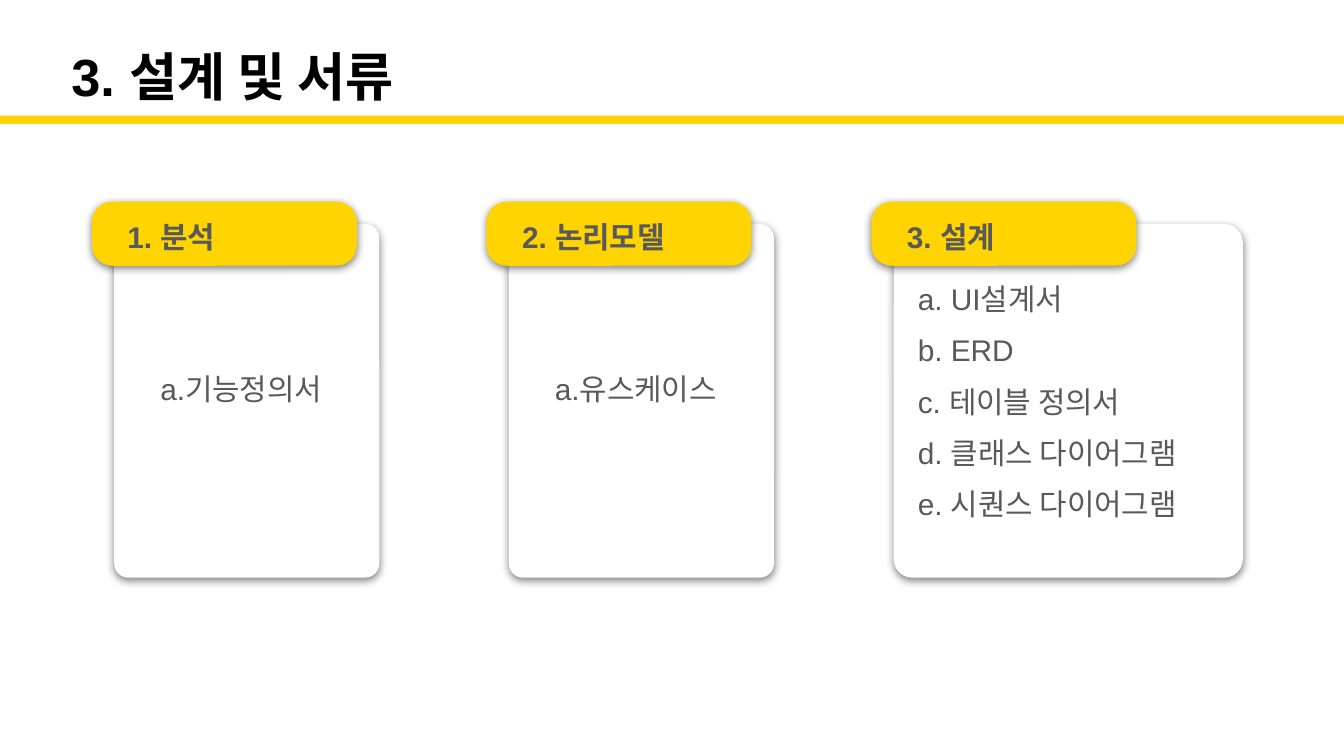
from lxml import etree
from pptx import Presentation
from pptx.dml.color import RGBColor
from pptx.enum.shapes import MSO_SHAPE as SHAPE
from pptx.enum.text import MSO_ANCHOR as ANCHOR, MSO_AUTO_SIZE as AUTO, PP_ALIGN as ALIGN
from pptx.oxml import parse_xml
from pptx.util import Pt

YELLOW, WHITE, GRAY, BLACK = "FFD400", "FFFFFF", "595959", "000000"
SHADOW = (
    '<a:effectLst xmlns:a="http://schemas.openxmlformats.org/drawingml/2006/main">'
    '<a:outerShdw blurRad="57150" dist="19050" dir="5400000" algn="bl" rotWithShape="0">'
    '<a:srgbClr val="000000"><a:alpha val="50000"/></a:srgbClr>'
    '</a:outerShdw></a:effectLst>'
)


def add_block(kind, box, color, radius=None):
    """Add a filled shape; a corner radius makes it a raised card."""
    sp = s.shapes.add_shape(kind, *map(Pt, box))
    sp.fill.solid()
    sp.fill.fore_color.rgb = RGBColor.from_string(color)
    sp.line.fill.background()
    sp.shadow.inherit = False
    if radius is not None:
        sp.adjustments[0] = radius
        pr = sp.element.spPr
        pr.replace(pr.effectLst if hasattr(pr, "effectLst") else pr[-1], parse_xml(SHADOW))


def write(sp, lines, size, color, bold, anchor, spacing=None):
    tf = sp.text_frame
    tf.word_wrap = True
    tf.auto_size = AUTO.NONE
    tf.vertical_anchor = anchor
    tf.margin_left = tf.margin_right = tf.margin_top = tf.margin_bottom = Pt(7.2)
    tf.text = "\n".join(lines)
    for i, p in enumerate(tf.paragraphs):
        p.alignment = ALIGN.LEFT
        p.line_spacing = spacing
        if i:
            p.space_before = Pt(16)
        p.font.name = "Arial"
        p.font.size = Pt(size)
        p.font.bold = bold
        p.font.color.rgb = RGBColor.from_string(color)


prs = Presentation()
prs.slide_width, prs.slide_height = Pt(720), Pt(405)
s = prs.slides.add_slide(prs.slide_layouts[5])

title = s.shapes.title
title.left, title.top, title.width, title.height = Pt(31), Pt(18), Pt(671), Pt(45.4)
write(title, ["3. 설계 및 서류"], 28, BLACK, True, ANCHOR.MIDDLE)
add_block(SHAPE.RECTANGLE, (-10, 62, 741.6, 4.4), YELLOW)

# card left, card width, heading, items, items box (offset from card, top, width, height)
single = (17.6, 198, 111, 34)
columns = [
    (61.2, 142, "1. 분석", ["a.기능정의서"], single),
    (272.6, 142, "2. 논리모델", ["a.유스케이스"], single),
    (478.8, 187, "3. 설계",
     ["a. UI설계서", "b. ERD", "c. 테이블 정의서", "d. 클래스 다이어그램", "e. 시퀀스 다이어그램"],
     (5.8, 150, 172, 146)),
]
for left, width, heading, items, (dx, top, w, h) in columns:
    add_block(SHAPE.ROUNDED_RECTANGLE, (left, 120, width, 189.5), WHITE, 0.053)
    add_block(SHAPE.ROUNDED_RECTANGLE, (left - 12, 108, 142, 34.4), YELLOW, 0.318)
    label = s.shapes.add_textbox(Pt(left), Pt(108), Pt(127), Pt(34.4))
    write(label, [heading], 16, GRAY, True, ANCHOR.MIDDLE, 1.15)
    body = s.shapes.add_textbox(Pt(left + dx), Pt(top), Pt(w), Pt(h))
    write(body, items, 16, GRAY, False, ANCHOR.TOP, 0.6)

prs.save("out.pptx")
